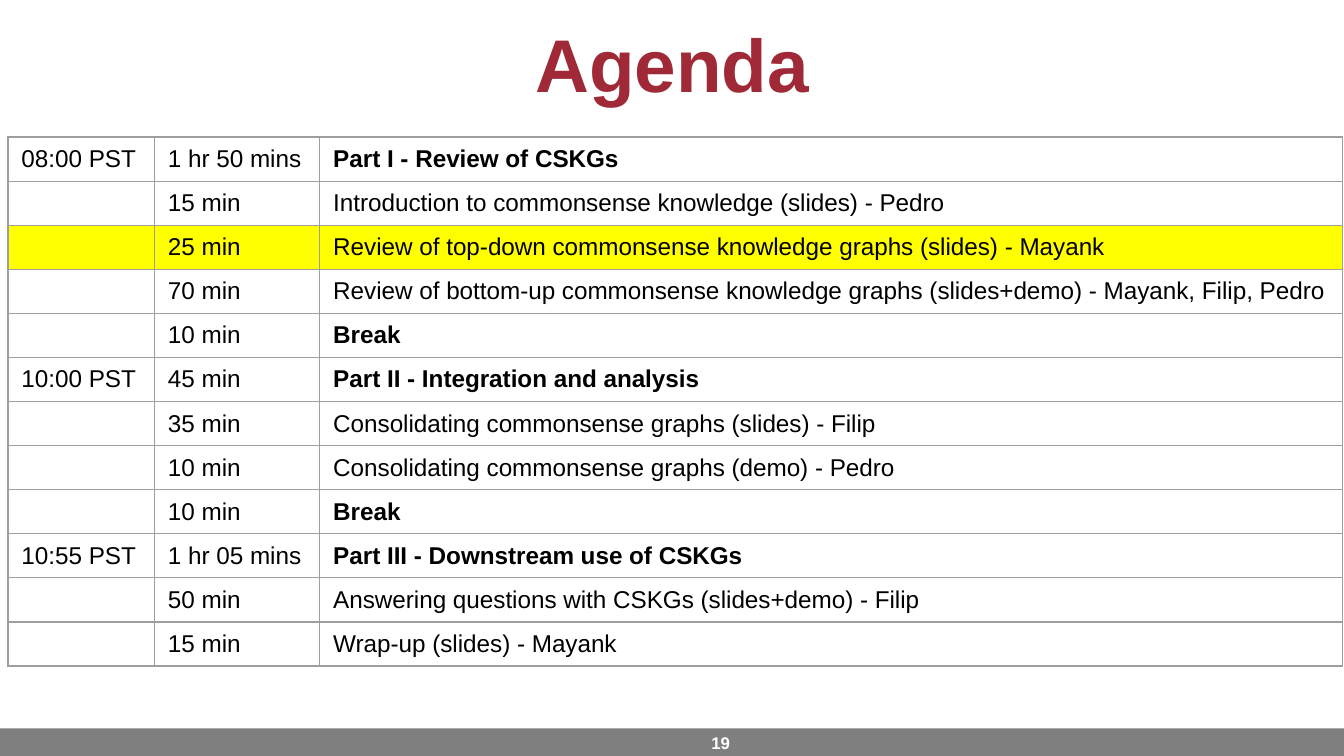
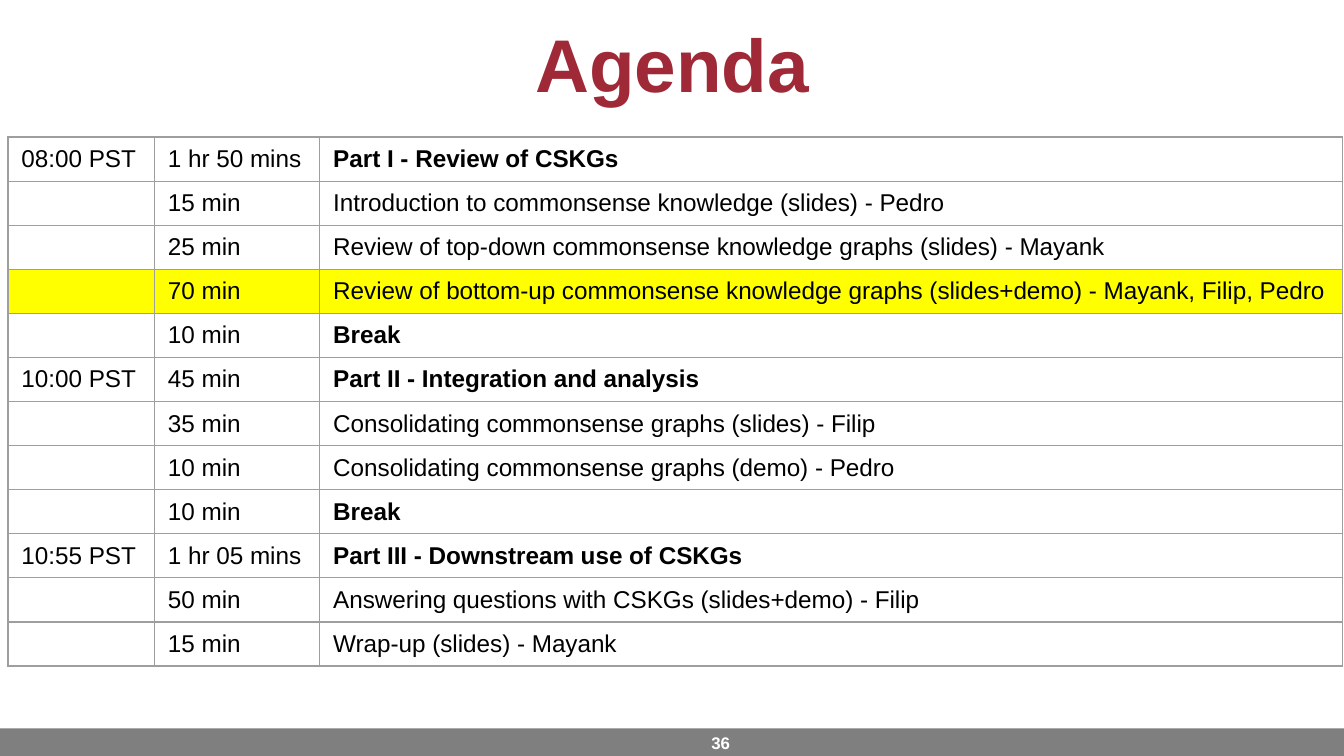
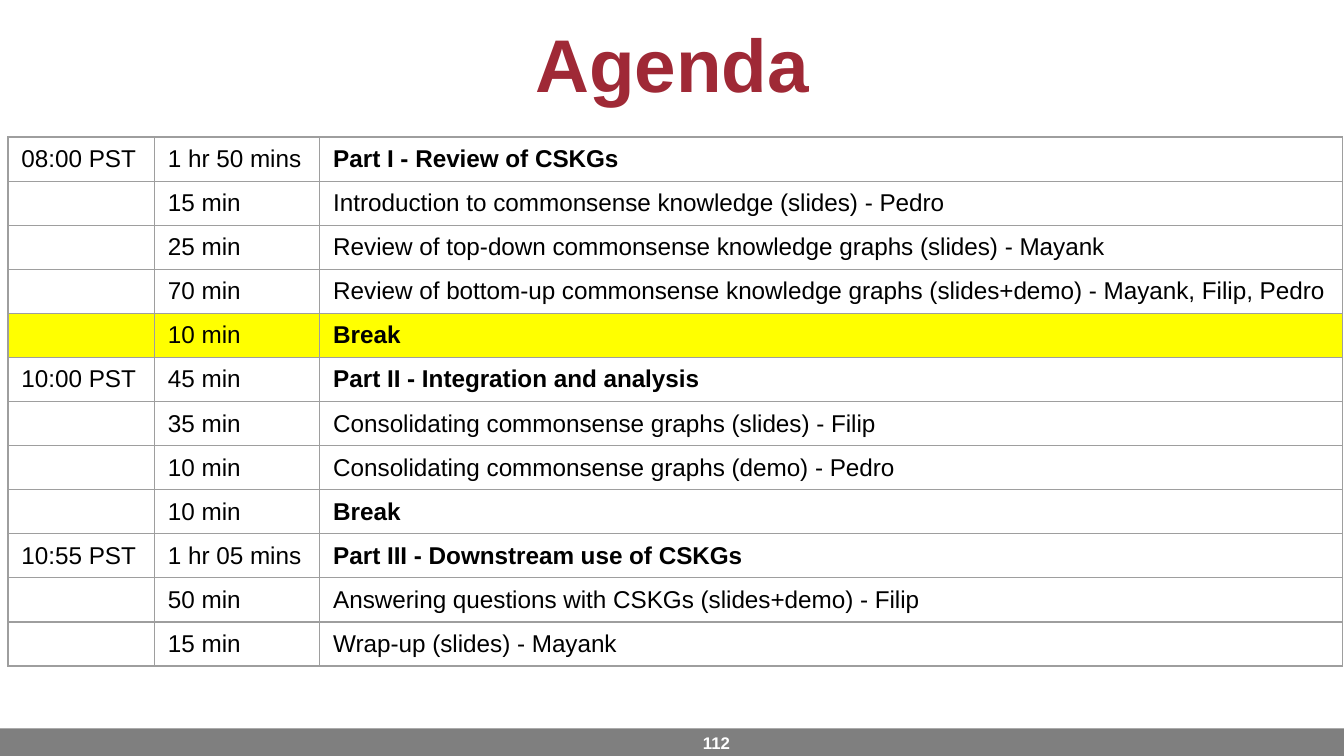
from dataclasses import dataclass

import pptx
import pptx.dml.color
import pptx.enum.shapes
import pptx.enum.text
import pptx.oxml
import pptx.oxml.ns
import pptx.slide
import pptx.table
import pptx.text.text
import pptx.util

Inches = pptx.util.Inches
Pt = pptx.util.Pt
PP_ALIGN = pptx.enum.text.PP_ALIGN
MIDDLE = pptx.enum.text.MSO_ANCHOR.MIDDLE

FONT = "Arial"
COLORS = {
    "title": "9F2936",
    "band": "7F7F7F",
    "number": "FFFFFF",
    "text": "000000",
    "border": "9E9E9E",
    "current": "FFFF00",
}
SLIDE_WIDTH = Inches(10)
SLIDE_HEIGHT = SLIDE_WIDTH * 9 // 16
COLUMN_WIDTHS = [Inches(1.09), Inches(1.23), Inches(7.61)]
TABLE_HEIGHT = Inches(3.94)


@dataclass(frozen=True)
class AgendaItem:
    start: str
    duration: str
    topic: str
    bold: bool = False


@dataclass(frozen=True)
class AgendaSlide:
    number: int
    current_row: int


AGENDA = [
    AgendaItem("08:00 PST", "1 hr 50 mins", "Part I - Review of CSKGs", True),
    AgendaItem("", "15 min", "Introduction to commonsense knowledge (slides) - Pedro"),
    AgendaItem("", "25 min", "Review of top-down commonsense knowledge graphs (slides) - Mayank"),
    AgendaItem("", "70 min", "Review of bottom-up commonsense knowledge graphs "
                             "(slides+demo) - Mayank, Filip, Pedro"),
    AgendaItem("", "10 min", "Break", True),
    AgendaItem("10:00 PST", "45 min", "Part II - Integration and analysis", True),
    AgendaItem("", "35 min", "Consolidating commonsense graphs (slides) - Filip"),
    AgendaItem("", "10 min", "Consolidating commonsense graphs (demo) - Pedro"),
    AgendaItem("", "10 min", "Break", True),
    AgendaItem("10:55 PST", "1 hr 05 mins", "Part III - Downstream use of CSKGs", True),
    AgendaItem("", "50 min", "Answering questions with CSKGs (slides+demo) - Filip"),
    AgendaItem("", "15 min", "Wrap-up (slides) - Mayank"),
]
SLIDES = [AgendaSlide(19, 2), AgendaSlide(36, 3), AgendaSlide(112, 4)]


def rgb(name: str) -> pptx.dml.color.RGBColor:
    return pptx.dml.color.RGBColor.from_string(COLORS[name])


def style_paragraph(p: pptx.text.text._Paragraph, size: int, color: str,
                    bold: bool, align: PP_ALIGN = PP_ALIGN.LEFT) -> None:
    p.alignment = align
    p.font.name = FONT
    p.font.size = Pt(size)
    p.font.bold = bold
    p.font.color.rgb = rgb(color)


def add_label(slide: pptx.slide.Slide, text: str, box: tuple[float, float, float, float],
              size: int, color: str, align: PP_ALIGN) -> None:
    """Add a bold, vertically centred line of text; box is in inches."""
    tf = slide.shapes.add_textbox(*map(Inches, box)).text_frame
    tf.word_wrap = True
    tf.vertical_anchor = MIDDLE
    tf.text = text
    style_paragraph(tf.paragraphs[0], size, color, True, align)


def add_band(slide: pptx.slide.Slide) -> None:
    sp = slide.shapes.add_shape(pptx.enum.shapes.MSO_SHAPE.RECTANGLE,
                                Inches(0), Inches(5.42), SLIDE_WIDTH, Inches(0.22))
    sp.shadow.inherit = False
    sp.fill.solid()
    sp.fill.fore_color.rgb = rgb("band")
    sp.line.fill.background()


def set_borders(cell: pptx.table._Cell) -> None:
    tcPr = cell._tc.get_or_add_tcPr()
    for side in ("lnL", "lnR", "lnT", "lnB"):
        tcPr.append(pptx.oxml.parse_xml(
            f'<a:{side} {pptx.oxml.ns.nsdecls("a")} w="{Pt(0.75)}"><a:solidFill>'
            f'<a:srgbClr val="{COLORS["border"]}"/></a:solidFill></a:{side}>'))


def fill_cell(cell: pptx.table._Cell, text: str, bold: bool, current: bool) -> None:
    cell.margin_left = cell.margin_right = Inches(0.1)
    cell.margin_top = cell.margin_bottom = 0
    cell.vertical_anchor = MIDDLE
    set_borders(cell)
    if current:
        cell.fill.solid()
        cell.fill.fore_color.rgb = rgb("current")
    else:
        cell.fill.background()
    if text:
        cell.text = text
    style_paragraph(cell.text_frame.paragraphs[0], 13, "text", bold)


def add_agenda(slide: pptx.slide.Slide, current_row: int) -> None:
    table = slide.shapes.add_table(len(AGENDA), len(COLUMN_WIDTHS), Inches(0.06), Inches(1.02),
                                   sum(COLUMN_WIDTHS), TABLE_HEIGHT).table
    table.first_row = table.horz_banding = False
    for column, width in zip(table.columns, COLUMN_WIDTHS):
        column.width = width
    for i, item in enumerate(AGENDA):
        current = i == current_row
        fill_cell(table.cell(i, 0), item.start, False, current)
        fill_cell(table.cell(i, 1), item.duration, False, current)
        fill_cell(table.cell(i, 2), item.topic, item.bold, current)


def main() -> None:
    prs = pptx.Presentation()
    prs.slide_width, prs.slide_height = SLIDE_WIDTH, SLIDE_HEIGHT
    for page in SLIDES:
        slide = prs.slides.add_slide(prs.slide_layouts[6])
        add_band(slide)
        add_label(slide, "Agenda", (0, 0, 10, 0.93), 40, "title", PP_ALIGN.CENTER)
        add_label(slide, str(page.number), (5.08, 5.38, 0.45, 0.3), 9, "number", PP_ALIGN.RIGHT)
        add_agenda(slide, page.current_row)
    prs.save("out.pptx")


if __name__ == "__main__":
    main()
